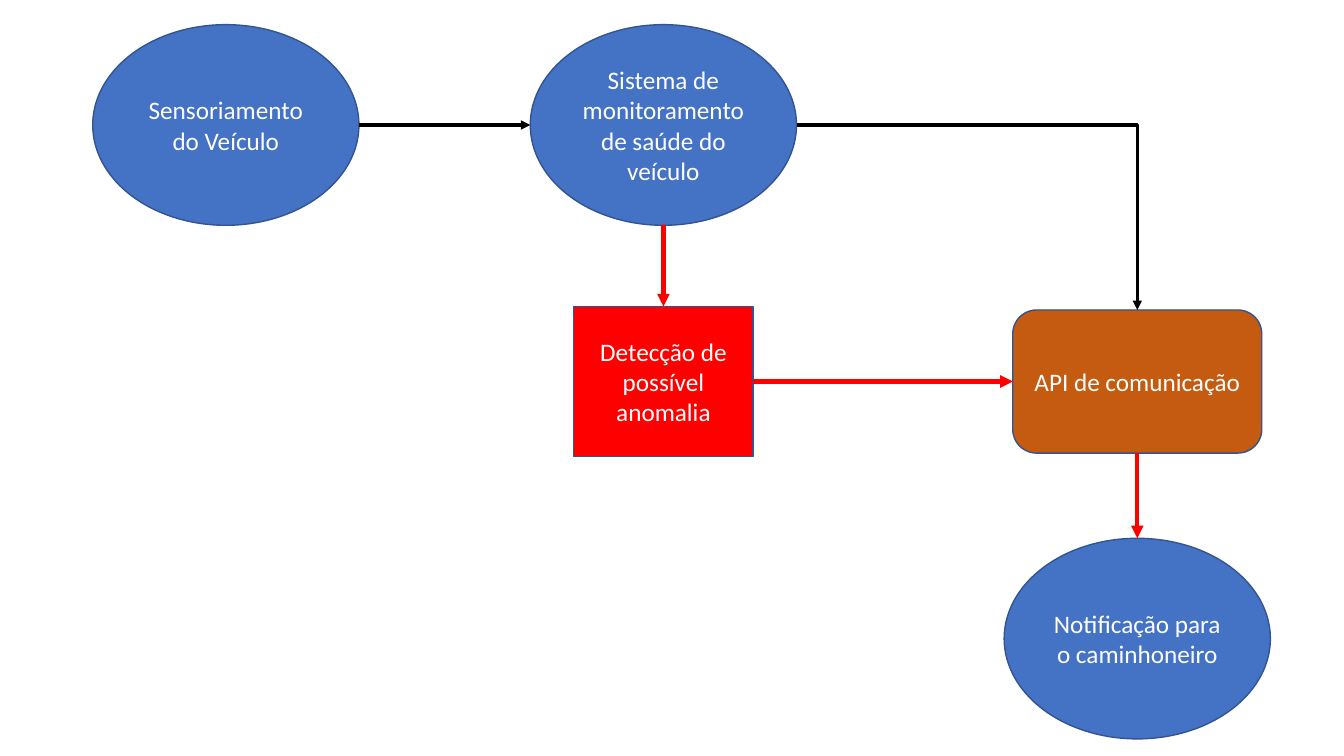
from pptx import Presentation
from pptx.dml.color import RGBColor
from pptx.enum.shapes import MSO_CONNECTOR as LINK, MSO_SHAPE as SHAPE
from pptx.enum.text import MSO_ANCHOR, PP_ALIGN
from pptx.oxml.ns import qn
from pptx.util import Inches, Pt
from lxml.etree import SubElement

BLUE = RGBColor(0x44, 0x72, 0xC4)
OUTLINE = RGBColor(0x32, 0x54, 0x91)
ORANGE = RGBColor(0xC5, 0x5A, 0x11)
RED = RGBColor(0xFF, 0x00, 0x00)
BLACK = RGBColor(0x00, 0x00, 0x00)
WHITE = RGBColor(0xFF, 0xFF, 0xFF)

presentation = Presentation()
presentation.slide_width = Inches(13.33)
presentation.slide_height = Inches(7.5)
slide = presentation.slides.add_slide(presentation.slide_layouts[6])

# Column centres, row centres and the common ellipse size
SENSOR_X, MONITOR_X, API_X = 2.24, 6.58, 11.28
TOP_Y, MIDDLE_Y, BOTTOM_Y = 1.24, 3.785, 6.335
ELLIPSE = (2.64, 1.99)

# Steps: text, preset shape, fill, centre, size
steps = {
    "api": ("API de comunicação", SHAPE.ROUNDED_RECTANGLE, ORANGE,
            (API_X, MIDDLE_Y), (2.47, 1.42)),
    "monitor": ("Sistema de monitoramento de saúde do veículo", SHAPE.OVAL, BLUE,
                (MONITOR_X, TOP_Y), ELLIPSE),
    "anomaly": ("Detecção de possível anomalia", SHAPE.RECTANGLE, RED,
                (MONITOR_X, MIDDLE_Y), (1.78, 1.49)),
    "notice": ("Notificação para o caminhoneiro", SHAPE.OVAL, BLUE,
               (API_X, BOTTOM_Y), ELLIPSE),
    "sensor": ("Sensoriamento do Veículo", SHAPE.OVAL, BLUE,
               (SENSOR_X, TOP_Y), ELLIPSE),
}
nodes = {}
for key, (text, preset, fill, (x, y), (width, height)) in steps.items():
    node = slide.shapes.add_shape(preset, Inches(x - width / 2), Inches(y - height / 2),
                                  Inches(width), Inches(height))
    node.shadow.inherit = False
    node.fill.solid()
    node.fill.fore_color.rgb = fill
    node.line.color.rgb = OUTLINE
    node.line.width = Pt(1)
    frame = node.text_frame
    frame.word_wrap = True
    frame.vertical_anchor = MSO_ANCHOR.MIDDLE
    paragraph = frame.paragraphs[0]
    paragraph.alignment = PP_ALIGN.CENTER
    run = paragraph.add_run()
    run.text = text
    run.font.name = "Calibri"
    run.font.size = Pt(18)
    run.font.color.rgb = WHITE
    nodes[key] = node

# Sides of a node: fraction of width and height, site on an ellipse, site elsewhere
SIDES = {"top": (0.5, 0, 0, 0), "left": (0, 0.5, 2, 1),
         "bottom": (0.5, 1, 4, 2), "right": (1, 0.5, 6, 3)}


def dock(key, side):
    """Return the point and the connection site at one side of a node."""
    node = nodes[key]
    across, down, oval_site, box_site = SIDES[side]
    site = oval_site if node.auto_shape_type == SHAPE.OVAL else box_site
    return (int(node.left + across * node.width),
            int(node.top + down * node.height), site)


# Arrows: from, to, type, colour, weight
arrows = [
    (("sensor", "right"), ("monitor", "left"), LINK.STRAIGHT, BLACK, 2.25),
    (("monitor", "right"), ("api", "top"), LINK.ELBOW, BLACK, 2.25),
    (("monitor", "bottom"), ("anomaly", "top"), LINK.STRAIGHT, RED, 3),
    (("anomaly", "right"), ("api", "left"), LINK.STRAIGHT, RED, 3),
    (("api", "bottom"), ("notice", "top"), LINK.STRAIGHT, RED, 3),
]
for start, end, kind, color, weight in arrows:
    x1, y1, start_site = dock(*start)
    x2, y2, end_site = dock(*end)
    arrow = slide.shapes.add_connector(kind, x1, y1, x2, y2)
    arrow.line.color.rgb = color
    arrow.line.width = Pt(weight)
    properties = arrow._element.spPr
    SubElement(arrow.line._get_or_add_ln(), qn("a:tailEnd"), type="triangle")
    SubElement(properties, qn("a:effectLst"))
    if kind == LINK.ELBOW:  # a single corner
        properties.find(qn("a:prstGeom")).set("prst", "bentConnector2")
    # Attach both ends to their nodes
    joints = arrow._element.nvCxnSpPr.cNvCxnSpPr
    for tag, (key, _), site in (("a:stCxn", start, start_site), ("a:endCxn", end, end_site)):
        SubElement(joints, qn(tag), id=str(nodes[key].shape_id), idx=str(site))

presentation.save("out.pptx")
